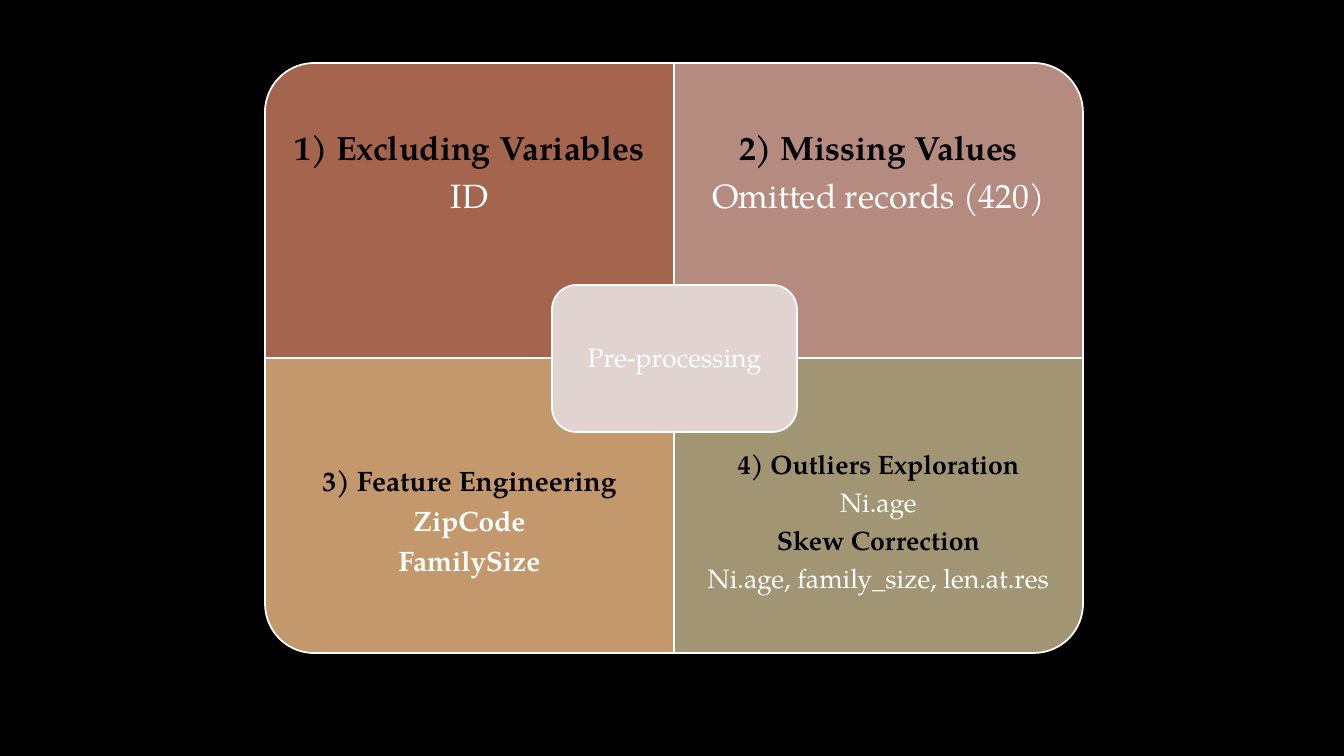
import pptx
import pptx.dml.color
import pptx.enum.shapes
import pptx.enum.text
import pptx.util

EMU_PER_PX = 914400 / 100.8
FONT = "TeX Gyre Pagella"
BLACK, WHITE = "000000", "FFFFFF"

# Matrix layout in px
SLIDE_WIDTH, SLIDE_HEIGHT = 1344, 756
LEFT, TOP = 265, 63
CELL_WIDTH, CELL_HEIGHT = 409, 295
LABEL_HEIGHT = 222
HUB_WIDTH, HUB_HEIGHT = 245, 147

# Row, column, rotation, fill, font size, inset, bottom inset, lines (text, is heading, is bold)
QUADRANTS = [
    (0, 0, 270, "A5644E", 24, 19, 19,
     [("1) Excluding Variables", True, True), ("ID", False, False)]),
    (0, 1, 0, "B58B80", 24, 19, 19,
     [("2) Missing Values", True, True), ("Omitted records (420)", False, False)]),
    (1, 0, 180, "C3986D", 20, 16, 56,
     [("3) Feature Engineering", True, True), ("ZipCode", False, True),
      ("FamilySize", False, True)]),
    (1, 1, 90, "A19574", 19, 15, 53,
     [("4) Outliers Exploration", True, True), ("Ni.age", False, False),
      ("Skew Correction", True, True),
      ("Ni.age, family_size, len.at.res", False, False)]),
]


def px(length):
    return pptx.util.Emu(round(length * EMU_PER_PX))


def color(hex_string):
    return pptx.dml.color.RGBColor.from_string(hex_string)


def add_panel(slide, kind, left, top, width, height, fill):
    shape = slide.shapes.add_shape(kind, px(left), px(top), px(width), px(height))
    shape.shadow.inherit = False
    shape.fill.solid()
    shape.fill.fore_color.rgb = color(fill)
    shape.line.color.rgb = color(WHITE)
    shape.line.width = pptx.util.Pt(1.25)
    return shape


def write_lines(shape, lines, size, inset, bottom_inset):
    frame = shape.text_frame
    frame.word_wrap = True
    frame.vertical_anchor = pptx.enum.text.MSO_ANCHOR.MIDDLE
    frame.margin_left = frame.margin_right = frame.margin_top = px(inset)
    frame.margin_bottom = px(bottom_inset)
    for index, (text, heading, bold) in enumerate(lines):
        paragraph = frame.add_paragraph() if index else frame.paragraphs[0]
        paragraph.text = text
        paragraph.alignment = pptx.enum.text.PP_ALIGN.CENTER
        paragraph.line_spacing = 0.9
        paragraph.space_after = pptx.util.Pt(round(size * 0.35, 1))
        paragraph.font.name = FONT
        paragraph.font.size = pptx.util.Pt(size)
        paragraph.font.bold = bold
        paragraph.font.color.rgb = color(BLACK if heading else WHITE)


def add_quadrant(slide, row, column, rotation, fill, size, inset, bottom_inset, lines):
    left = LEFT + column * CELL_WIDTH
    top = TOP + row * CELL_HEIGHT

    # A quarter turn swaps the sides around the same centre
    width, height = CELL_WIDTH, CELL_HEIGHT
    if rotation % 180:
        width, height = height, width
    panel = add_panel(
        slide, pptx.enum.shapes.MSO_SHAPE.ROUND_1_RECTANGLE,
        left + (CELL_WIDTH - width) // 2, top + (CELL_HEIGHT - height) // 2,
        width, height, fill)
    panel.rotation = rotation

    # The label keeps to the outer edge, clear of the hub
    label_top = top + row * (CELL_HEIGHT - LABEL_HEIGHT)
    label = slide.shapes.add_textbox(
        px(left), px(label_top), px(CELL_WIDTH), px(LABEL_HEIGHT))
    write_lines(label, lines, size, inset, bottom_inset)


def add_hub(slide):
    hub = add_panel(
        slide, pptx.enum.shapes.MSO_SHAPE.ROUNDED_RECTANGLE,
        LEFT + CELL_WIDTH - HUB_WIDTH // 2, TOP + CELL_HEIGHT - HUB_HEIGHT // 2,
        HUB_WIDTH, HUB_HEIGHT, "E1D3D0")
    write_lines(hub, [("Pre-processing", False, False)], 19, 8, 8)


def main():
    presentation = pptx.Presentation()
    presentation.slide_width = px(SLIDE_WIDTH)
    presentation.slide_height = px(SLIDE_HEIGHT)
    slide = presentation.slides.add_slide(presentation.slide_layouts[6])

    # Background
    slide.background.fill.solid()
    slide.background.fill.fore_color.rgb = color(BLACK)

    # Matrix with its central hub
    for quadrant in QUADRANTS:
        add_quadrant(slide, *quadrant)
    add_hub(slide)

    presentation.save("out.pptx")


if __name__ == "__main__":
    main()
